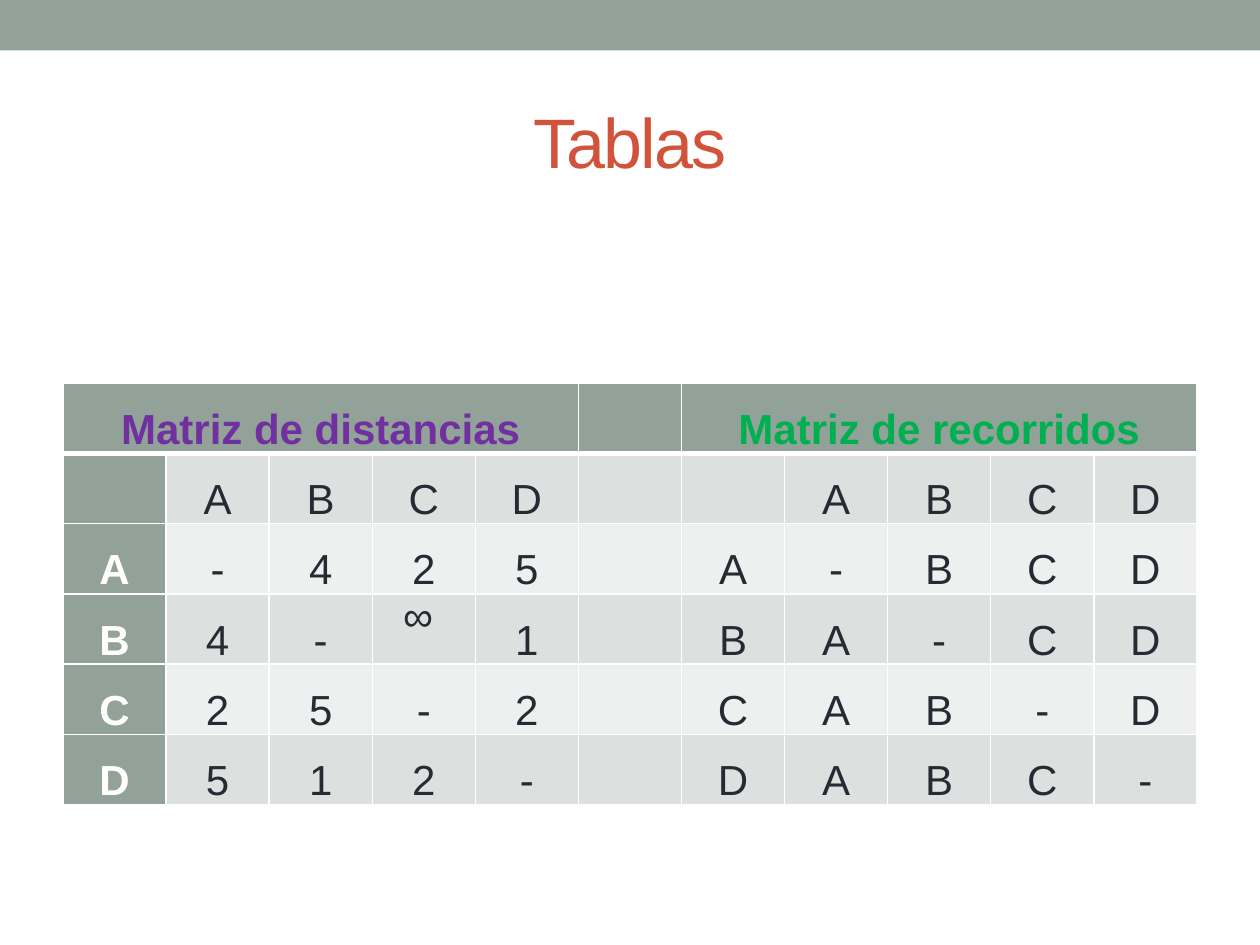
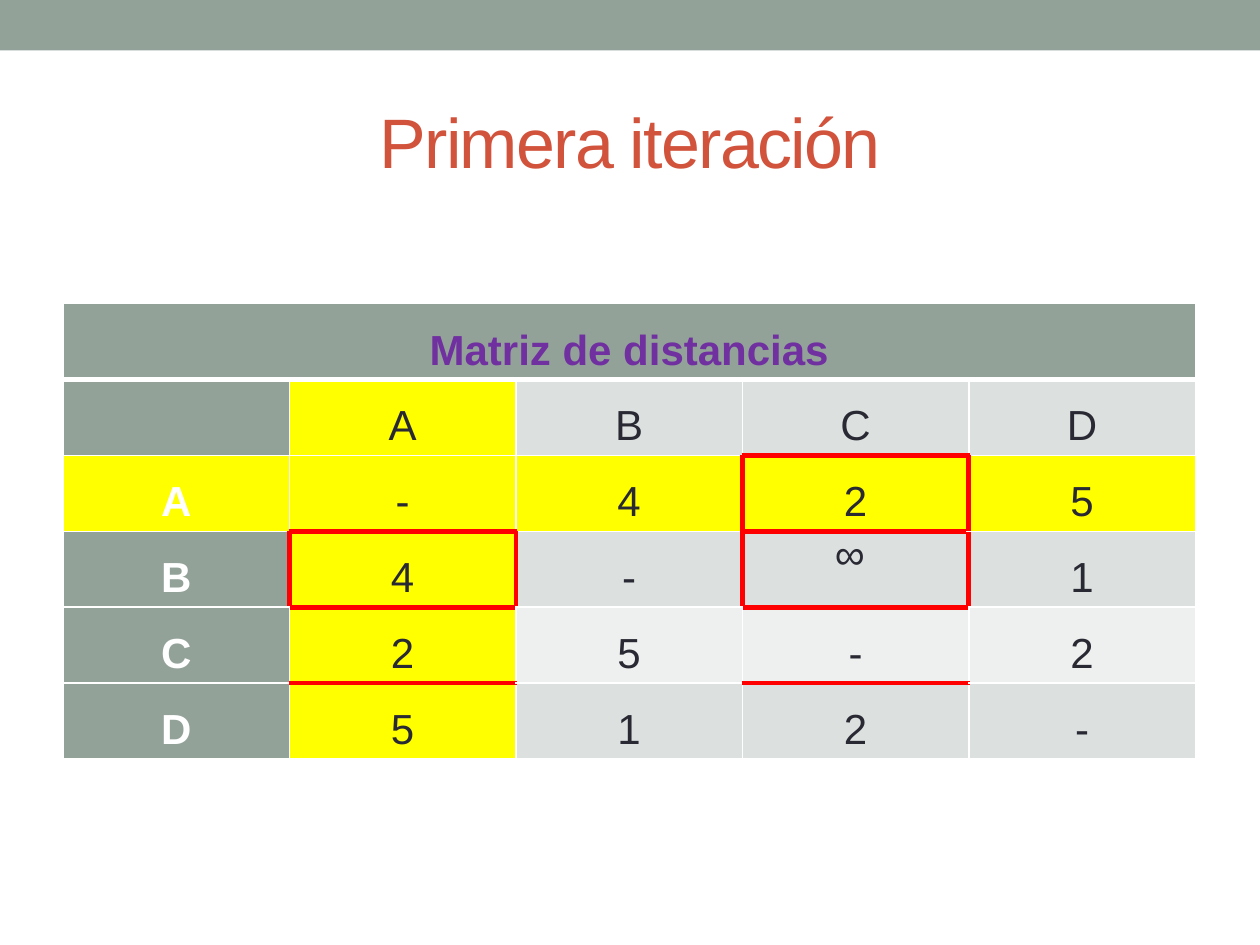
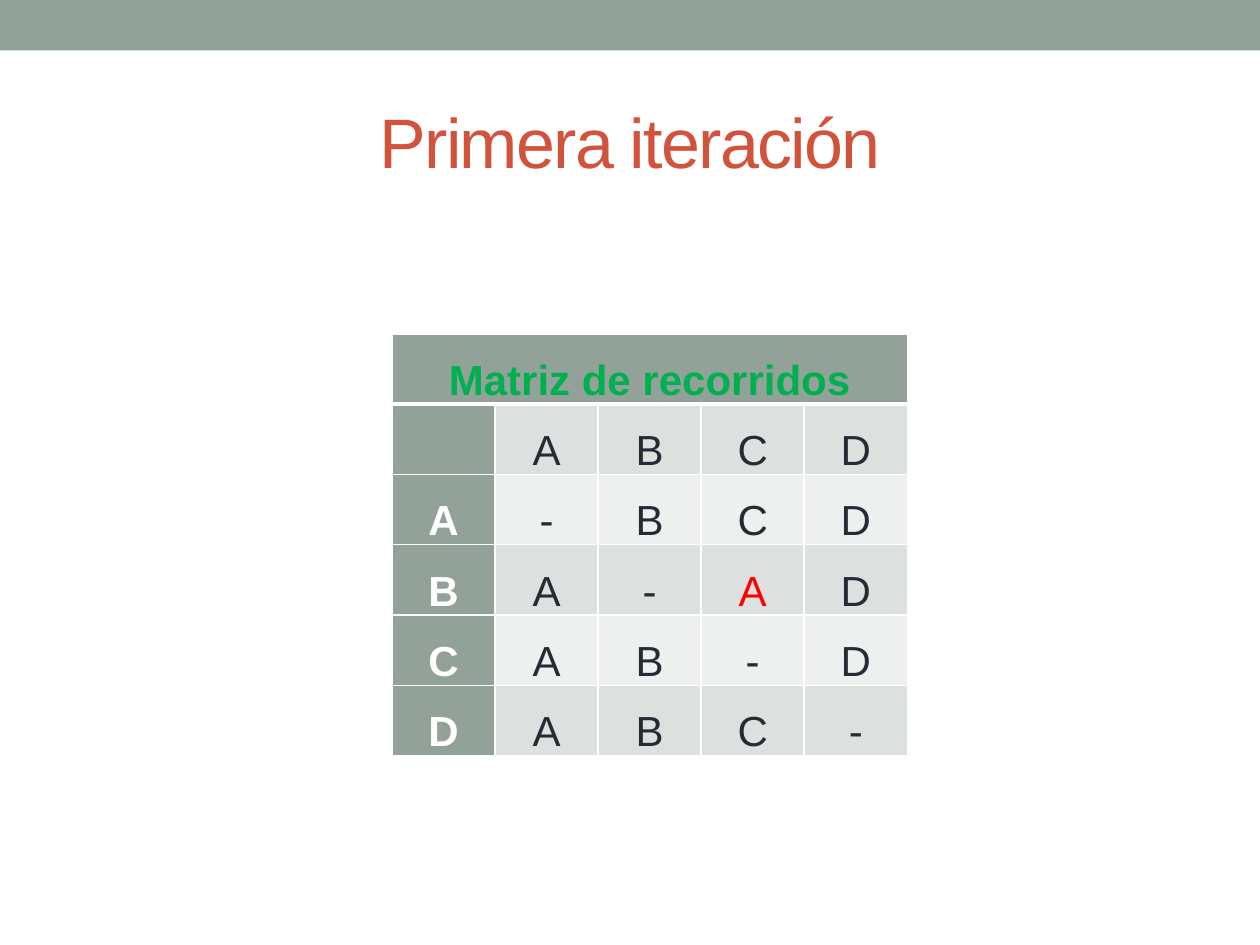
from itertools import product

from pptx import Presentation
from pptx.dml.color import RGBColor
from pptx.enum.shapes import MSO_SHAPE as Shape
from pptx.enum.text import MSO_ANCHOR as Anchor, PP_ALIGN as Align
from pptx.oxml import parse_xml
from pptx.oxml.ns import nsdecls, qn
from pptx.util import Cm, Pt

FONT = "Arial"
SAGE, RUST, INK, WHITE = "93A299", "D2533C", "292934", "FFFFFF"
DARK, PALE = "DCE0DE", "EEF0EF"
PURPLE, GREEN, RED, YELLOW = "7030A0", "00B050", "FF0000", "FFFF00"
SIDES = {"L": (0, -1), "R": (0, 1), "T": (-1, 0), "B": (1, 0)}
KEYS = "ABCD"


def rgb(code):
    return RGBColor.from_string(code)


def matrix(rows):
    """Add the node names above and to the left of the values."""
    return [["", *KEYS]] + [[key, *row] for key, row in zip(KEYS, rows)]


class Deck:
    """Style of the deck and the slide being filled."""

    def __init__(self):
        self.prs = Presentation()
        self.prs.slide_width, self.prs.slide_height = Cm(25.4), Cm(19.05)
        self.slide = None

    def page(self, title):
        first = self.slide is None
        self.slide = self.prs.slides.add_slide(self.prs.slide_layouts[5])
        if first:
            self.band()
        self.title(title)

    def band(self):
        """Put the top band on the master, behind everything else."""
        band = self.slide.shapes.add_shape(
            Shape.RECTANGLE, 0, 0, self.prs.slide_width, Cm(1.02))
        band.shadow.inherit = False
        band.fill.solid()
        band.fill.fore_color.rgb = rgb(SAGE)
        band.line.fill.background()
        self.prs.slide_master.shapes.element.insert(2, band.element)

    def title(self, text):
        box = self.slide.shapes.title
        box.left, box.top = Cm(1.27), Cm(1.47)
        box.width, box.height = Cm(22.86), Cm(2.74)
        frame = box.text_frame
        frame.text = text
        frame.vertical_anchor = Anchor.MIDDLE
        self.type(frame.paragraphs[0], 40, RUST, False)
        for props in box.element.iter(qn("a:rPr")):
            props.set("spc", "-100")

    def type(self, para, size, color, bold):
        para.alignment = Align.CENTER
        for run in para.runs:
            font = run.font
            font.name, font.size, font.bold = FONT, Pt(size), bold
            font.color.rgb = rgb(color)

    def edge(self, cell, side, color, width):
        cell._tc.get_or_add_tcPr().append(parse_xml(
            f'<a:ln{side} {nsdecls("a")} w="{Pt(width)}"><a:solidFill>'
            f'<a:srgbClr val="{color}"/></a:solidFill></a:ln{side}>'))

    def edges(self, cell, spot, boxes, under):
        row, col = spot
        for side, (down, right) in SIDES.items():
            near = (row + down, col + right)
            low = (side == "B" and spot in under
                   or side == "T" and near in under)
            if spot in boxes or near in boxes or low:
                self.edge(cell, side, RED, 3)
            else:
                heavy = (row, side) in ((0, "B"), (1, "T"))
                self.edge(cell, side, WHITE, 3 if heavy else 1)

    def grid(self, heads, rows, at, size, step,
             glow=(), boxes=(), under=(), inks=None):
        """heads: {first column: (text, colour)}, each five columns wide."""
        wide = len(rows[0])
        top = [heads[col][0] if col in heads else "" for col in range(wide)]
        data = [top, *rows]
        frame = self.slide.shapes.add_table(
            len(data), wide, *map(Cm, at), *map(Cm, size))
        table = frame.table
        for line in table.rows:
            line.height = Cm(step)
        frame.height = Cm(size[1])
        for spot in product(range(len(data)), range(wide)):
            row, col = spot
            cell = table.cell(row, col)
            self.edges(cell, spot, boxes, under)
            head = row == 0 or col == 0
            fill = SAGE if head else DARK if row % 2 else PALE
            cell.fill.solid()
            cell.fill.fore_color.rgb = rgb(YELLOW if spot in glow else fill)
            cell.margin_left = cell.margin_right = Cm(0.19)
            cell.margin_top = cell.margin_bottom = 0
            text = data[row][col]
            if not text:
                continue
            cell.text_frame.text = text
            para = cell.text_frame.paragraphs[0]
            para.line_spacing = 1.0 if "∞" in text else 1.5
            ink = heads[col][1] if row == 0 else WHITE if head else INK
            self.type(para, 24, (inks or {}).get(spot, ink), head)
        for col in heads:
            table.cell(0, col).merge(table.cell(0, col + len(KEYS)))


def main():
    costs = matrix(["-425", ["4", "-", "∞ ", "1"], "25-2", "512-"])
    paths = matrix(["-BCD", "A-CD", "AB-D", "ABC-"])
    hops = matrix(["-BCD", "A-AD", "AB-D", "ABC-"])
    cost = ("Matriz de distancias", PURPLE)
    route = ("Matriz de recorridos", GREEN)
    deck = Deck()

    deck.page("Tablas")
    both = [left + [""] + right for left, right in zip(costs, paths)]
    deck.grid({0: cost, 6: route}, both, (1.27, 7.72), (22.86, 8), 1.19)

    deck.page("Primera iteración")
    glow = {(2, col) for col in range(5)} | {(row, 1) for row in range(1, 6)}
    deck.grid({0: cost}, costs, (1.27, 6.12), (22.83, 9.19), 1.53, glow,
              boxes={(2, 3), (3, 1), (3, 3)}, under={(4, 1), (4, 3)})

    deck.page("Primera iteración")
    deck.grid({0: route}, hops, (7.9, 6.73), (10.39, 8.97), 1.19,
              inks={(3, 3): RED})

    deck.prs.save("out.pptx")


if __name__ == "__main__":
    main()
